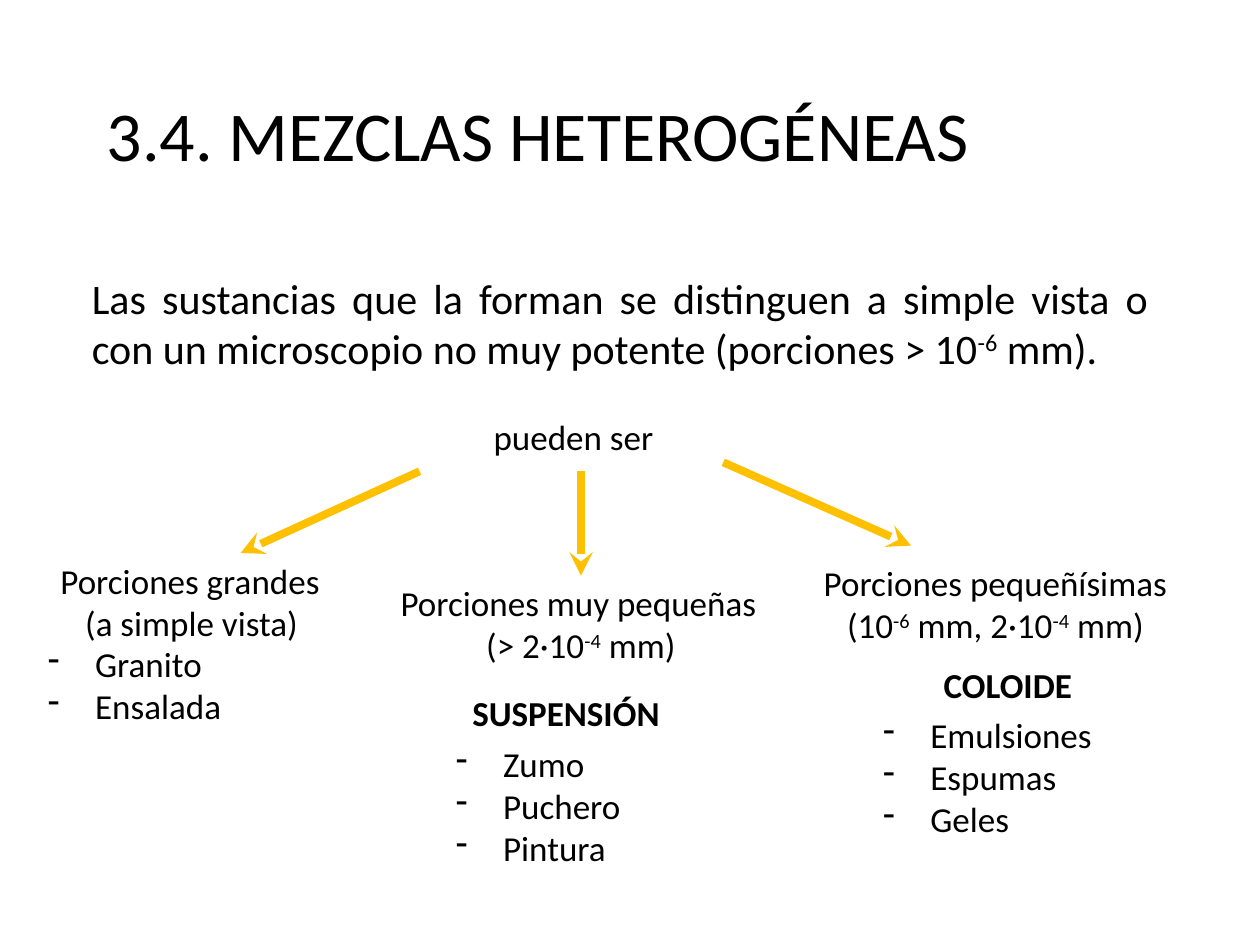
from lxml.etree import SubElement
from pptx import Presentation
from pptx.dml.color import RGBColor
from pptx.enum.shapes import MSO_CONNECTOR
from pptx.enum.text import PP_ALIGN
from pptx.oxml.ns import qn
from pptx.util import Pt

BLACK = RGBColor(0, 0, 0)
GOLD = RGBColor(0xFF, 0xC0, 0x00)
LEFT, MID, JUST = PP_ALIGN.LEFT, PP_ALIGN.CENTER, PP_ALIGN.JUSTIFY
INDENT = 27

# Text between ^ marks is superscript.
# left, top, width, size, bold, wrapped lines, paragraphs as (align, text)
TEXTS = [
    (54, 49, 601, 40, False, 1, [(LEFT, "3.4. MEZCLAS HETEROGÉNEAS")]),
    (45.4, 152, 618, 24, False, 2, [
        (JUST, "Las sustancias que la forman se distinguen a simple vista o "
               "con un microscopio no muy potente (porciones > 10^-6^ mm).")]),
    (275, 234, 124.6, 20, False, 1, [(JUST, "pueden ser")]),
    (27.4, 316, 164.2, 20, False, 2,
     [(JUST, "Porciones grandes"), (MID, "(a simple vista)")]),
    (221.8, 329, 220.3, 20, False, 2,
     [(JUST, "Porciones muy pequeñas"), (MID, "(> 2·10^-4^ mm)")]),
    (431.3, 317.5, 275, 20, False, 2,
     [(MID, "Porciones pequeñísimas"), (MID, "(10^-6^ mm, 2·10^-4^ mm)")]),
    (262.8, 391.7, 220.3, 20, True, 1, [(JUST, "SUSPENSIÓN")]),
    (465.8, 375.8, 220.3, 20, True, 1, [(MID, "COLOIDE")]),
]
# left, top, items
LISTS = [
    (20.2, 363.6, ["Granito", "Ensalada"]),
    (253.4, 420.5, ["Zumo", "Puchero", "Pintura"]),
    (497.5, 403.9, ["Emulsiones", "Espumas", "Geles"]),
]
# start x, y, end x, y
ARROWS = [
    (239.8, 269.3, 137.5, 316),
    (413.3, 264.2, 520.6, 311.8),
    (332, 269.3, 332, 329),
]


def add_bullet(para):
    props = para._p.get_or_add_pPr()
    props.set("marL", str(Pt(INDENT)))
    props.set("indent", str(-Pt(INDENT)))
    color = SubElement(props, qn("a:buClr"))
    SubElement(color, qn("a:srgbClr"), val=str(BLACK))
    SubElement(props, qn("a:buChar"), char="-")


def add_text(slide, left, top, width, size, bold, lines, paras, bullet=False):
    height = lines * size * 1.2 + 7.2
    box = slide.shapes.add_textbox(Pt(left), Pt(top), Pt(width), Pt(height))
    frame = box.text_frame
    frame.word_wrap = True
    for i, (align, text) in enumerate(paras):
        para = frame.add_paragraph() if i else frame.paragraphs[0]
        para.alignment = align
        if bullet:
            add_bullet(para)
        for j, part in enumerate(text.split("^")):
            run = para.add_run()
            run.text = part
            font = run.font
            font.name, font.size, font.bold = "Calibri", Pt(size), bold
            font.color.rgb = BLACK
            if j % 2:
                run._r.get_or_add_rPr().set("baseline", "30000")


def add_arrow(slide, *ends):
    arrow = slide.shapes.add_connector(
        MSO_CONNECTOR.STRAIGHT, *(Pt(end) for end in ends))
    arrow.line.color.rgb = GOLD
    arrow.line.width = Pt(4.5)
    SubElement(arrow.line._get_or_add_ln(), qn("a:tailEnd"), type="stealth")
    SubElement(arrow._element.spPr, qn("a:effectLst"))


def main():
    deck = Presentation()
    deck.slide_width, deck.slide_height = Pt(720), Pt(540)
    slide = deck.slides.add_slide(deck.slide_layouts[6])
    for text in TEXTS:
        add_text(slide, *text)
    for left, top, items in LISTS:
        paras = [(JUST, item) for item in items]
        add_text(slide, left, top, 157, 20, False, len(items), paras, True)
    for ends in ARROWS:
        add_arrow(slide, *ends)
    deck.save("out.pptx")


if __name__ == "__main__":
    main()
